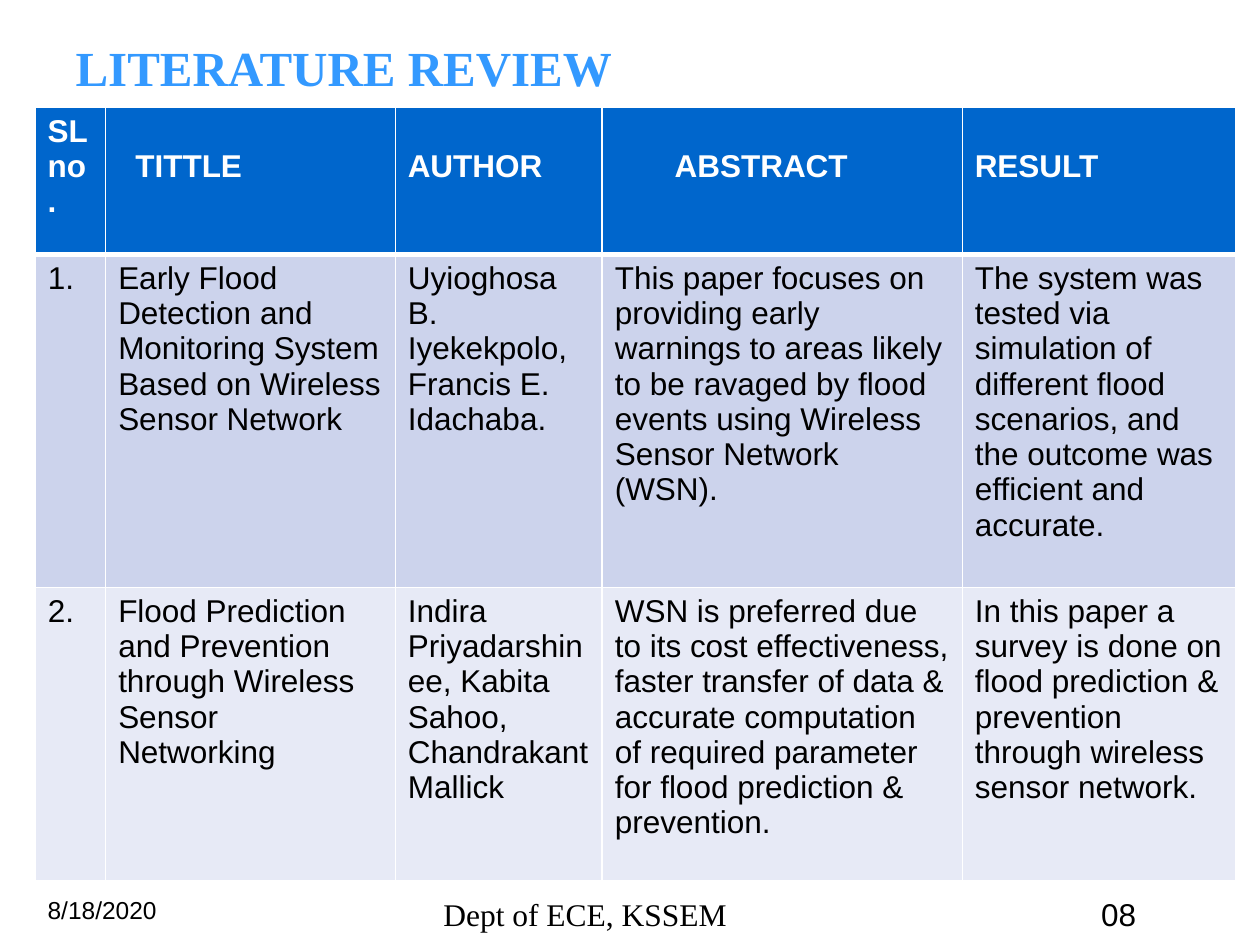
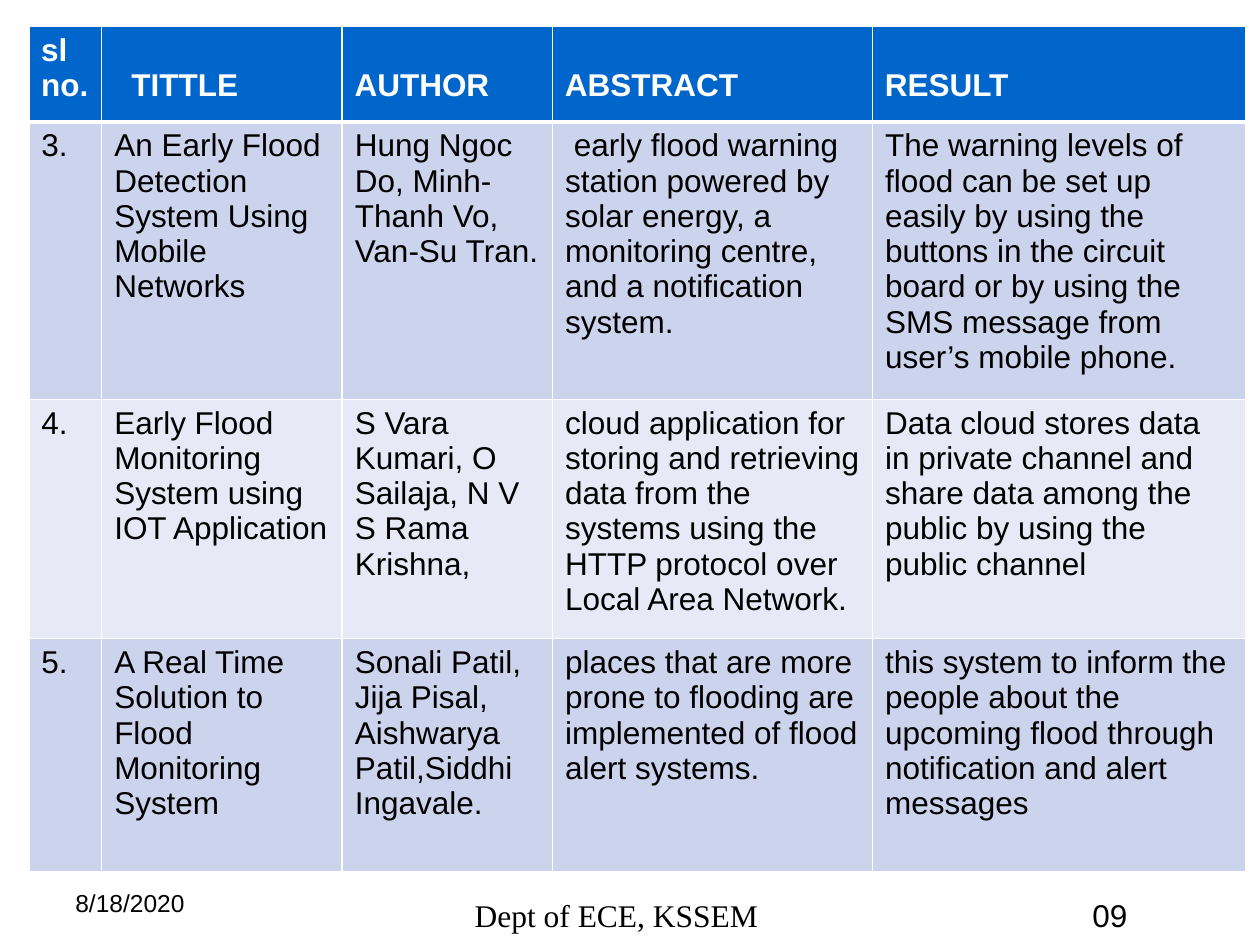
import pptx
import pptx.dml.color
import pptx.enum.text
import pptx.oxml
import pptx.oxml.ns
import pptx.util
from pptx.util import Cm, Pt

RGBColor = pptx.dml.color.RGBColor
TITLE_BLUE = RGBColor(0x33, 0x99, 0xFF)
HEADER_BLUE = RGBColor(0x00, 0x66, 0xCC)
BAND_DARK = RGBColor(0xCC, 0xD3, 0xEC)
BAND_LIGHT = RGBColor(0xE7, 0xEA, 0xF6)
WHITE = RGBColor(0xFF, 0xFF, 0xFF)
BLACK = RGBColor(0x00, 0x00, 0x00)
SERIF, SANS = "Times New Roman", "Arial"

TITLE_ONLY, BLANK = 5, 6
HEADER_TOP_MARGIN = 0.84  # puts the labels on the second line of the header
CELL_MARGIN = 0.25
DATE, DEPARTMENT = "8/18/2020", "Dept of ECE, KSSEM"

# All lengths are in centimetres; "indents" are extra left margins by header column.
SLIDES = [
    {
        "title": "LITERATURE REVIEW",
        "table_at": (0.71, 2.16),
        "columns": [1.42, 5.84, 4.17, 7.26, 5.51],
        "heights": [2.97, 6.71, 5.92],
        "indents": [0, 0.35, 0, 1.21, 0],
        "rows": [
            ["SL\nno.", "TITTLE", "AUTHOR", "ABSTRACT", "RESULT"],
            ["1.",
             "Early Flood Detection and Monitoring System Based on Wireless Sensor Network",
             "Uyioghosa B. Iyekekpolo, Francis E. Idachaba.",
             "This paper focuses on providing early warnings to areas likely to be "
             "ravaged by flood events using Wireless Sensor Network (WSN).",
             "The system was tested via simulation of different flood scenarios, "
             "and the outcome was efficient and accurate."],
            ["2.",
             "Flood Prediction and Prevention through Wireless Sensor Networking",
             "Indira Priyadarshinee, Kabita Sahoo, Chandrakant Mallick",
             "WSN is preferred due to its cost effectiveness, faster transfer of data & "
             "accurate computation of required parameter for flood prediction & prevention.",
             "In this paper a survey is done on flood prediction & prevention "
             "through wireless sensor network."],
        ],
        "date_at": (0.71, 17.91),
        "department_at": (8.69, 17.91),
        "number": "08",
        "number_at": (21.95, 17.91),
    },
    {
        "title": None,
        "table_at": (0.58, 0.53),
        "columns": [1.47, 4.85, 4.24, 6.45, 7.52],
        "heights": [1.93, 5.51, 4.78, 4.7],
        "indents": [0, 0.35, 0, 0, 0],
        "rows": [
            ["sl no.", "TITTLE", "AUTHOR", "ABSTRACT", "RESULT"],
            ["3.",
             "An Early Flood Detection System Using Mobile Networks",
             "Hung Ngoc Do, Minh-Thanh Vo, Van-Su Tran.",
             " early ﬂood warning station powered by solar energy, a monitoring centre, "
             "and a notiﬁcation system.",
             "The warning levels of ﬂood can be set up easily by using the buttons in the "
             "circuit board or by using the SMS message from user’s mobile phone."],
            ["4.",
             "Early Flood Monitoring System using IOT Application",
             "S Vara Kumari, O Sailaja, N V S Rama Krishna,",
             "cloud application for storing and retrieving data from the systems using "
             "the HTTP protocol over Local Area Network.",
             "Data cloud stores data in private channel and share data among the public "
             "by using the public channel"],
            ["5.",
             "A Real Time Solution to Flood Monitoring System",
             "Sonali Patil, Jija Pisal, Aishwarya Patil,Siddhi Ingavale.",
             "places that are more prone to flooding are\n"
             "implemented of flood alert systems.",
             "this system to inform the people about the upcoming flood through "
             "notification and alert messages"],
        ],
        "date_at": (1.27, 17.78),
        "department_at": (9.32, 17.93),
        "number": "09",
        "number_at": (21.77, 17.93),
    },
]


def write_text(text_frame, text, size=18, font=SANS, color=BLACK, bold=False):
    """Fill a text frame, one paragraph for each line of text."""
    text_frame.text = text
    for paragraph in text_frame.paragraphs:
        paragraph.alignment = pptx.enum.text.PP_ALIGN.LEFT
        for run in paragraph.runs:
            run.font.size = Pt(size)
            run.font.name = font
            run.font.bold = bold
            run.font.color.rgb = color


def add_title(slide, text):
    title = slide.shapes.title
    title.left, title.top, title.width, title.height = Cm(1.27), Cm(0.53), Cm(22.86), Cm(1.63)
    title.text_frame.vertical_anchor = pptx.enum.text.MSO_ANCHOR.MIDDLE
    write_text(title.text_frame, text, size=28, font=SERIF, color=TITLE_BLUE, bold=True)


def add_label(slide, text, position, width, height=1.02, wrap=True, **text_format):
    left, top = position
    label = slide.shapes.add_textbox(Cm(left), Cm(top), Cm(width), Cm(height))
    label.text_frame.word_wrap = wrap
    write_text(label.text_frame, text, **text_format)


def set_borders(cell, bottom_width):
    properties = cell._tc.get_or_add_tcPr()
    for side, width in (("L", 1), ("R", 1), ("T", 1), ("B", bottom_width)):
        properties.append(pptx.oxml.parse_xml(
            f'<a:ln{side} {pptx.oxml.ns.nsdecls("a")} w="{Pt(width)}">'
            f'<a:solidFill><a:srgbClr val="{WHITE}"/></a:solidFill></a:ln{side}>'))


def format_cell(cell, text, fill, bottom_width=1, **text_format):
    set_borders(cell, bottom_width)
    cell.fill.solid()
    cell.fill.fore_color.rgb = fill
    write_text(cell.text_frame, text, **text_format)


def add_review_table(slide, content):
    rows, columns, heights = content["rows"], content["columns"], content["heights"]
    left, top = content["table_at"]
    table = slide.shapes.add_table(len(rows), len(columns), Cm(left), Cm(top),
                                   Cm(sum(columns)), Cm(sum(heights))).table
    for column, width in zip(table.columns, columns):
        column.width = Cm(width)
    for row, height in zip(table.rows, heights):
        row.height = Cm(height)

    header, *papers = rows
    for index, label in enumerate(header):
        cell = table.cell(0, index)
        format_cell(cell, label, HEADER_BLUE, bottom_width=3, color=WHITE, bold=True)
        cell.margin_left = Cm(CELL_MARGIN + content["indents"][index])
        if index > 0:
            cell.margin_top = Cm(HEADER_TOP_MARGIN)
    for row_index, paper in enumerate(papers, start=1):
        band = BAND_DARK if row_index % 2 else BAND_LIGHT
        for column_index, text in enumerate(paper):
            format_cell(table.cell(row_index, column_index), text, band)


def add_footer(slide, content):
    add_label(slide, DATE, content["date_at"], 5.92, height=1.32, size=14)
    add_label(slide, DEPARTMENT, content["department_at"], 6.22, wrap=False, font=SERIF)
    add_label(slide, content["number"], content["number_at"], 2.1)


def main():
    presentation = pptx.Presentation()
    presentation.slide_width, presentation.slide_height = Cm(25.4), Cm(19.05)
    for content in SLIDES:
        layout = presentation.slide_layouts[TITLE_ONLY if content["title"] else BLANK]
        slide = presentation.slides.add_slide(layout)
        if content["title"]:
            add_title(slide, content["title"])
        add_review_table(slide, content)
        add_footer(slide, content)
    presentation.save("out.pptx")


if __name__ == "__main__":
    main()
